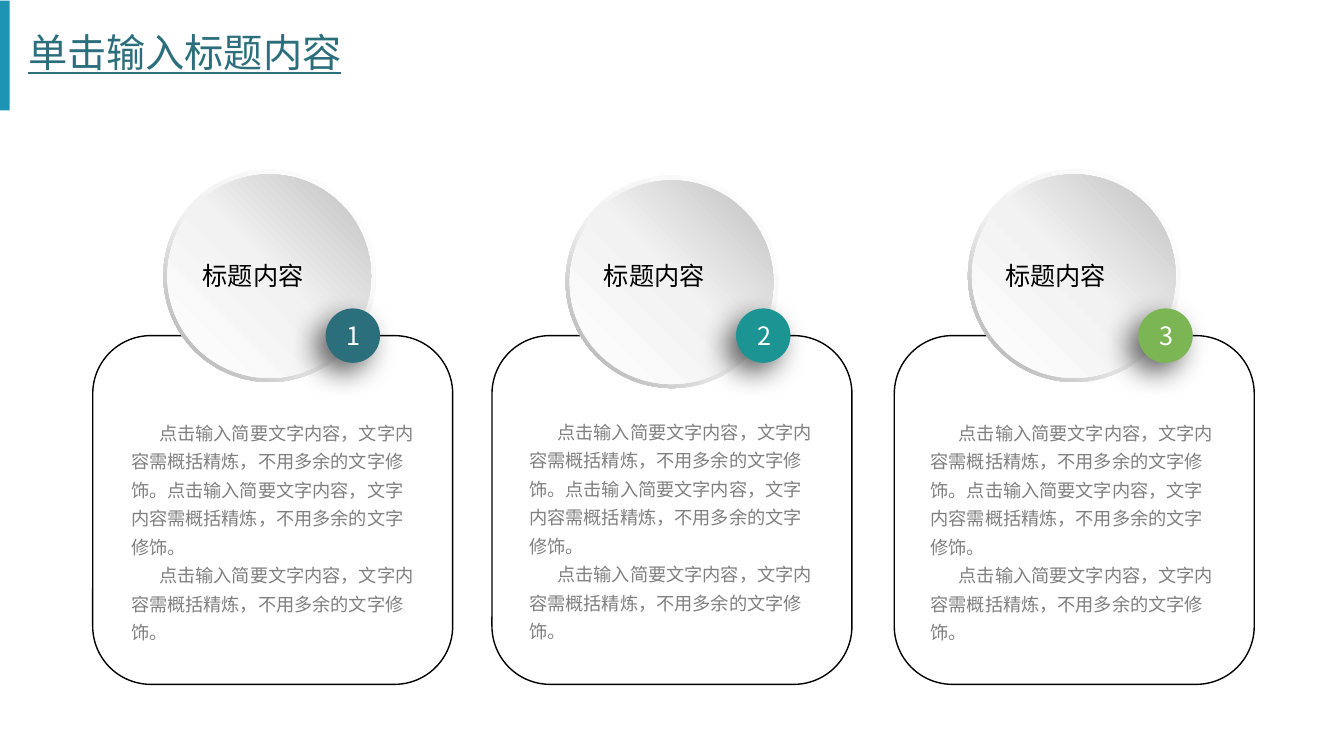
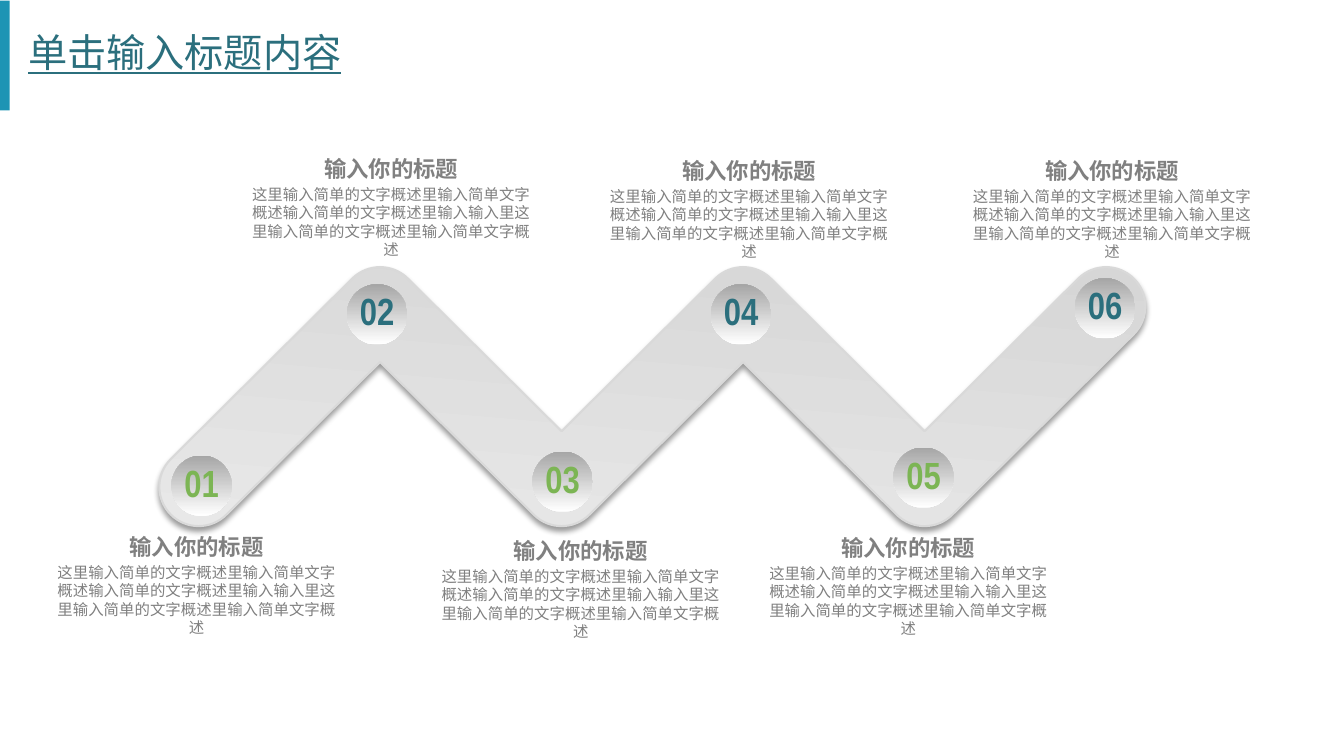
from math import cos, radians, sin, sqrt

from pptx import Presentation
from pptx.dml.color import RGBColor
from pptx.enum.shapes import MSO_SHAPE as Preset
from pptx.enum.text import MSO_ANCHOR as Anchor, MSO_AUTO_SIZE as AutoSize, PP_ALIGN as Align
from pptx.oxml import parse_xml
from pptx.oxml.ns import nsdecls, qn
from pptx.util import Inches, Pt

TEAL = RGBColor(0x2B, 0x6F, 0x7D)
AQUA = RGBColor(0x1C, 0x94, 0x94)
GREEN = RGBColor(0x7C, 0xB5, 0x54)
BLUE = RGBColor(0x1D, 0x94, 0xB4)
GRAY = RGBColor(0x80, 0x80, 0x80)
PALE = RGBColor(0xD9, 0xD9, 0xD9)
BLACK = RGBColor(0, 0, 0)
WHITE = RGBColor(0xFF, 0xFF, 0xFF)

RING_STOPS = ((0, "FFFFFF"), (55, "F2F2F2"), (100, "A6A6A6"))
DISC_STOPS = ((0, "FFFFFF"), (51, "F2F2F2"), (100, "BFBFBF"))
DIMPLE_STOPS = ((0, "D9D9D9"), (1, "FFFFFF"), (100, "A6A6A6"))
RIBBON_STOPS = ((0, "BFBFBF"), (100, "FFFFFF"))

CJK_FONT = "Noto Sans CJK SC"
TITLE = "单击输入标题内容"
LABEL = "标题内容"
SENTENCE = "点击输入简要文字内容，文字内容需概括精炼，不用多余的文字修饰。"
STEP_TITLE = "输入你的标题"
STEP_TEXT = "这里输入简单的文字概述里输入简单文字概述输入简单的文字概述里输入输入里这里输入简单的文字概述里输入简单文字概述"


def write(frame, text, size, color, font=CJK_FONT, bold=False, underline=False,
          align=Align.LEFT, spacing=None, before=None, indent=None, first=True):
    para = frame.paragraphs[0] if first else frame.add_paragraph()
    para.alignment = align
    if spacing:
        para.line_spacing = spacing
    if before:
        para.space_before = before
    if indent:
        para._p.get_or_add_pPr().set("indent", str(indent))
    span = para.add_run()
    span.text = text
    span.font.size = Pt(size)
    span.font.bold = bold
    span.font.underline = underline
    span.font.color.rgb = color
    span.font.name = font
    east_asian = parse_xml(f'<a:ea {nsdecls("a")} typeface="{CJK_FONT}"/>')
    span._r.get_or_add_rPr().append(east_asian)


def fill_gradient(shape, stops, angle):
    shape.fill.background()
    marks = "".join(f'<a:gs pos="{pos * 1000}"><a:srgbClr val="{color}"/></a:gs>'
                    for pos, color in stops)
    gradient = parse_xml(f'<a:gradFill {nsdecls("a")} rotWithShape="1"><a:gsLst>{marks}</a:gsLst>'
                         f'<a:lin ang="{angle * 60000}" scaled="0"/></a:gradFill>')
    properties = shape._element.spPr
    properties.replace(properties.find(qn("a:noFill")), gradient)


def cast_shadow(shape, alpha, blur, distance, angle):
    effects = shape._element.spPr.find(qn("a:effectLst"))
    effects.append(parse_xml(
        f'<a:outerShdw {nsdecls("a")} blurRad="{Pt(blur)}" dist="{Pt(distance)}" '
        f'dir="{angle * 60000}" algn="ctr" rotWithShape="0"><a:srgbClr val="000000">'
        f'<a:alpha val="{alpha * 1000}"/></a:srgbClr></a:outerShdw>'))


def bend_segments(shape, segments):
    lines = iter(list(shape._element.iter(qn("a:lnTo"))))
    for segment in segments:
        steps = [next(lines) for _ in segment]
        if len(steps) == 3:
            curve = parse_xml(f'<a:cubicBezTo {nsdecls("a")}/>')
            steps[0].addprevious(curve)
            for step in steps:
                curve.append(step[0])
                step.getparent().remove(step)


def set_frame(shape, margins=(0, 0), anchor=Anchor.TOP, wrap=True):
    frame = shape.text_frame
    frame.margin_left = frame.margin_right = Inches(margins[0])
    frame.margin_top = frame.margin_bottom = Inches(margins[1])
    frame.vertical_anchor = anchor
    frame.word_wrap = wrap
    frame.auto_size = AutoSize.NONE
    return frame


class Deck:
    def __init__(self):
        self.deck = Presentation()
        self.deck.slide_width = Inches(13.33)
        self.deck.slide_height = Inches(7.5)
        self.page = None

    def add_page(self, title):
        self.page = self.deck.slides.add_slide(self.deck.slide_layouts[5])
        if len(self.deck.slides) == 1:
            self.add_master_bar()
        box = self.page.shapes.title
        box.left, box.top, box.width, box.height = map(Inches, (0.18, 0.2, 11.5, 0.68))
        frame = set_frame(box, (0.1, 0.05), Anchor.MIDDLE)
        write(frame, title, 28, TEAL, font="Montserrat", underline=True, spacing=0.9)

    def add_master_bar(self):
        bar = self.shape(Preset.RECTANGLE, -0.5, 0.5, 1.09, 0.1, fill=BLUE)
        bar.rotation = 90
        self.deck.slide_master.shapes._spTree.append(bar._element)

    def paint(self, shape, fill=None, stops=None, angle=0, line=None, weight=1):
        shape.shadow.inherit = False
        if stops:
            fill_gradient(shape, stops, angle)
        elif fill is not None:
            shape.fill.solid()
            shape.fill.fore_color.rgb = fill
        else:
            shape.fill.background()
        if line is None:
            shape.line.fill.background()
        else:
            shape.line.color.rgb = line
            shape.line.width = Pt(weight)
        return shape

    def shape(self, preset, left, top, width, height, **style):
        shape = self.page.shapes.add_shape(preset, *map(Inches, (left, top, width, height)))
        return self.paint(shape, **style)

    def text_box(self, left, top, width, height, **layout):
        box = self.page.shapes.add_textbox(*map(Inches, (left, top, width, height)))
        return set_frame(box, **layout)

    def outline(self, segments, **style):
        points = [(Inches(x), Inches(y)) for segment in segments for x, y in segment]
        builder = self.page.shapes.build_freeform(*points[0])
        builder.add_line_segments(points[1:], close=True)
        shape = builder.convert_to_shape()
        bend_segments(shape, segments[1:])
        return self.paint(shape, **style)

    def medallion(self, left, top):
        ring = self.shape(Preset.DONUT, left, top, 2.11, 2.11, stops=RING_STOPS, angle=135)
        ring.adjustments[0] = 0.049
        self.shape(Preset.OVAL, left + 0.04, top + 0.05, 2.02, 2.02, stops=DISC_STOPS, angle=315)

    def label(self, left):
        frame = self.text_box(left, 2.51, 1.28, 0.44, margins=(0.13, 0.07),
                              anchor=Anchor.MIDDLE, wrap=False)
        write(frame, LABEL, 18, BLACK)

    def badge(self, left, number, color):
        badge = self.shape(Preset.OVAL, left, 3.06, 0.54, 0.54, fill=color)
        cast_shadow(badge, 60, 20, 10, 135)
        frame = set_frame(badge, (0.13, 0.07), Anchor.MIDDLE)
        write(frame, str(number), 18, WHITE, align=Align.CENTER)

    def card_text(self, left, top):
        frame = self.text_box(left, top, 2.83, 2.33)
        for text, first in ((SENTENCE * 2, True), (SENTENCE, False)):
            write(frame, text, 13, GRAY, spacing=Pt(20.4), indent=Inches(0.28), first=first)

    def dimple(self, left, top, number, color):
        self.shape(Preset.OVAL, left, top, 0.6, 0.6, stops=DIMPLE_STOPS, angle=270)
        frame = self.text_box(left - 0.05, top - 0.01, 0.7, 0.56, margins=(0.1, 0.05))
        write(frame, f"{number:02}", 27, color, font="Arial Narrow", bold=True, align=Align.CENTER)

    def step_text(self, left, top):
        frame = self.text_box(left, top, 3.16, 1.05, margins=(0.13, 0.07))
        write(frame, STEP_TITLE, 16, GRAY, bold=True, align=Align.CENTER, spacing=Pt(19))
        write(frame, STEP_TEXT, 11, GRAY, align=Align.CENTER, spacing=Pt(13.2),
              before=Pt(2), first=False)


def move(point, angle, reach):
    x, y = point
    return x + reach * cos(radians(angle)), y + reach * sin(radians(angle))


def turn(point, center, angle):
    x, y = point[0] - center[0], point[1] - center[1]
    c, s = cos(radians(angle)), sin(radians(angle))
    return center[0] + x * c - y * s, center[1] + x * s + y * c


def zigzag_segments(joints, radius):
    handle = 0.55 * radius

    def quarter(joint, start):
        first, last = move(joint, start, radius), move(joint, start + 90, radius)
        return [[first], [move(first, start + 90, handle), move(last, start, handle), last]]

    def notch(joint, angle):
        return [[move(joint, angle, radius * sqrt(2))]]

    def cap(joint, start):
        return quarter(joint, start) + quarter(joint, start + 90)[1:]

    inner = list(enumerate(joints))[1:-1]
    segments = cap(joints[0], 45)
    for index, joint in inner:
        segments += quarter(joint, 225) if index % 2 else notch(joint, 270)
    segments += cap(joints[-1], 225)
    for index, joint in reversed(inner):
        segments += notch(joint, 90) if index % 2 else quarter(joint, 45)
    return segments


def build_cards(deck):
    deck.add_page(TITLE)
    columns = (
        (0.92, 1.62, 1.68, 3.23, 1.88, 1.3, 4.12, TEAL),
        (4.88, 5.61, 1.74, 7.3, 5.86, 5.25, 4.11, AQUA),
        (8.87, 9.6, 1.68, 11.29, 9.84, 9.23, 4.12, GREEN),
    )
    for number, column in enumerate(columns, 1):
        card_left, ring_left, ring_top, badge_left, label_left, text_left, text_top, color = column
        deck.shape(Preset.ROUNDED_RECTANGLE, card_left, 3.33, 3.57, 3.46, line=BLACK)
        deck.medallion(ring_left, ring_top)
        deck.badge(badge_left, number, color)
        deck.label(label_left)
        deck.card_text(text_left, text_top)


def build_zigzag(deck):
    deck.add_page(TITLE)
    joints = [(1.97 + 1.8 * index, 3.04 if index % 2 else 4.83) for index in range(6)]
    center = [(first + last) / 2 for first, last in zip(joints[0], joints[-1])]
    segments = [[turn(point, center, 45) for point in segment]
                for segment in zigzag_segments(joints, 0.39)]
    ribbon = deck.outline(segments, stops=RIBBON_STOPS, angle=140, line=PALE, weight=1.5)
    ribbon.rotation = 315
    cast_shadow(ribbon, 40, 4, 3, 90)
    steps = (
        (1.7, 4.52, 0.37, 5.22),
        (3.44, 2.82, 2.3, 1.47),
        (5.28, 4.48, 4.18, 5.26),
        (7.05, 2.82, 5.85, 1.49),
        (8.86, 4.44, 7.43, 5.23),
        (10.66, 2.76, 9.45, 1.49),
    )
    for number, (left, top, text_left, text_top) in enumerate(steps, 1):
        deck.dimple(left, top, number, GREEN if number % 2 else TEAL)
        deck.step_text(text_left, text_top)


def main():
    deck = Deck()
    build_cards(deck)
    build_zigzag(deck)
    deck.deck.save("out.pptx")


if __name__ == "__main__":
    main()
